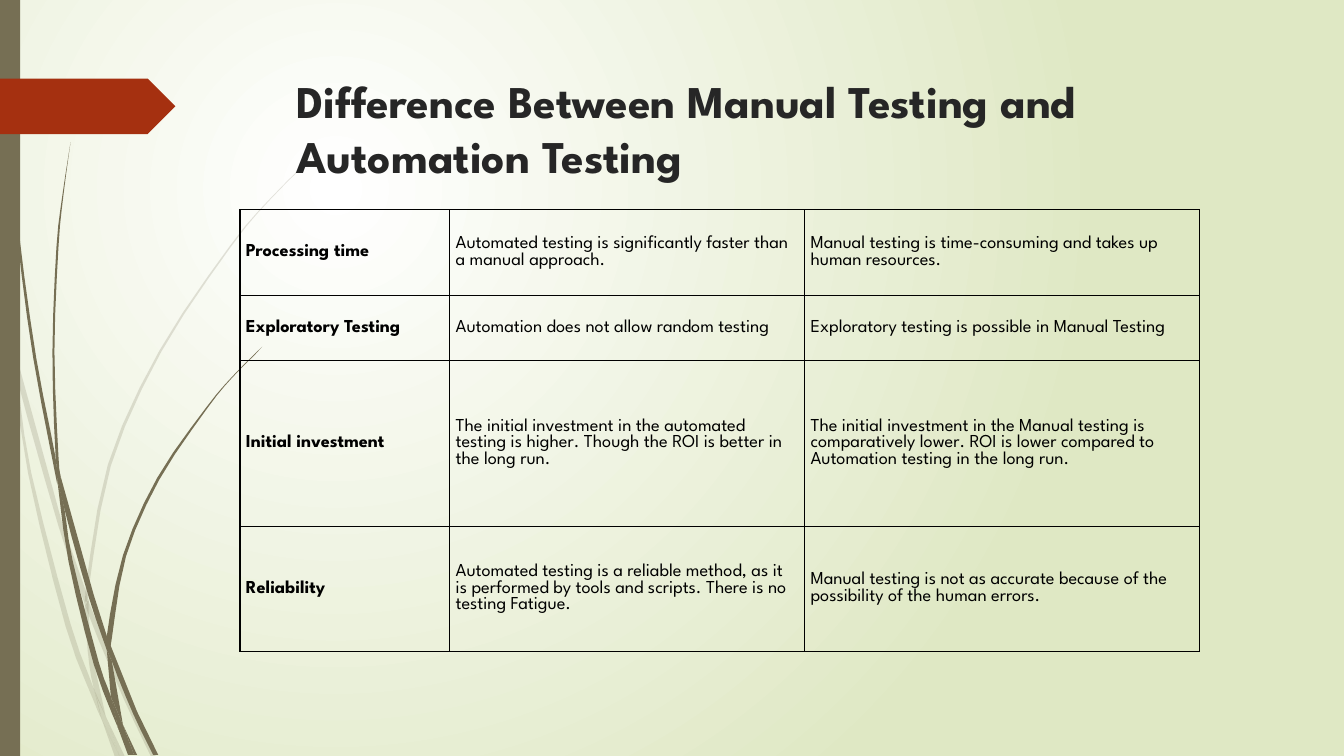
from dataclasses import dataclass

from lxml import etree
from pptx import Presentation, util as u
from pptx.dml.color import RGBColor
from pptx.enum import shapes, text
from pptx.oxml import ns

TITLE = "Difference Between Manual Testing and Automation Testing"
ROWS = [
    ("Processing time",
     "Automated testing is significantly faster than a manual approach.",
     "Manual testing is time-consuming and takes up human resources."),
    ("Exploratory Testing",
     "Automation does not allow random testing",
     "Exploratory testing is possible in Manual Testing"),
    ("Initial investment",
     "The initial investment in the automated testing is higher. "
     "Though the ROI is better in the long run.",
     "The initial investment in the Manual testing is comparatively lower. "
     "ROI is lower compared to Automation testing in the long run."),
    ("Reliability",
     "Automated testing is a reliable method, as it is performed by tools and scripts. "
     "There is no testing Fatigue.",
     "Manual testing is not as accurate because of the possibility of the human errors."),
]
COLUMN_WIDTHS = (2.08, 3.52, 3.92)
ROW_HEIGHTS = (0.85, 0.65, 1.64, 1.24)

PALE_STEMS = [
    ([(0, 2.99), (0.1, 3.44), (0.11, 3.5)], [(0, 2.82), (0.09, 3.22), (0.11, 3.5)]),
    ([(0.14, 3.45), (0.17, 3.76), (0.58, 5.22), (0.84, 5.99)], [(0.14, 3.45), (0.62, 5.2), (0.85, 5.86)]),
    ([(0.88, 5.96), (0.88, 6.1), (1.23, 6.94), (1.5, 7.51)], [(0.88, 5.96), (0.92, 6.07), (1.27, 6.92), (1.55, 7.51)]),
    ([(1.05, 7.11), (1.19, 7.51)], [(1.05, 7.11), (1.24, 7.51)]),
    ([(0.11, 3.5), (0.28, 4.7), (0.65, 6.21), (0.92, 6.93), (1.01, 7.14)],
     [(0.11, 3.5), (0.17, 3.76), (0.31, 4.69), (0.7, 6.19), (0.93, 6.83), (1.01, 7.14)]),
    ([(0.84, 5.99), (0.87, 6.46), (0.93, 6.83), (1.05, 7.11)], [(0.84, 5.99), (0.88, 6.1), (0.91, 6.46), (1.05, 7.11)]),
    ([(3.12, 1.53), (2.68, 1.97), (2.28, 2.44), (1.58, 3.48), (1.07, 4.61), (0.85, 5.84), (0.88, 5.96)],
     [(3.12, 1.54), (2.68, 1.98), (2.29, 2.45), (1.6, 3.49), (1.1, 4.62), (0.88, 5.84), (0.88, 5.96)]),
    ([(1.01, 7.14), (1.14, 7.51)], [(1.01, 7.14), (1.19, 7.51)]),
    ([(0.85, 5.86), (0.84, 5.99), (0.88, 6.1)], [(0.85, 5.86), (0.88, 5.96), (0.88, 6.1)]),
    ([(0.93, 6.83), (1.01, 7.14), (1.19, 7.51)], [(0.93, 6.83), (1.05, 7.11), (1.19, 7.51)]),
]
DARK_STEMS = [
    ([(0.03, 0), (0.07, 1.1), (0.17, 2.33), (0.33, 3.55), (0.57, 4.81)],
     [(0.04, 0), (0.08, 1.09), (0.19, 2.32), (0.36, 3.55), (0.55, 4.53), (0.57, 4.81)]),
    ([(0.6, 4.72), (0.64, 5.05), (0.88, 5.92), (1.06, 6.45)], [(0.6, 4.72), (0.93, 5.9), (1.06, 6.31)]),
    ([(1.1, 6.41), (1.11, 6.56), (1.32, 7.08), (1.52, 7.49)], [(1.1, 6.41), (1.36, 7.06), (1.57, 7.49)]),
    ([(0.57, 4.77), (0.68, 5.57), (0.93, 6.59), (1.17, 7.22)],
     [(0.57, 4.77), (0.64, 5.05), (0.72, 5.56), (0.98, 6.57), (1.1, 6.91), (1.17, 7.22)]),
    ([(0.7, 1.41), (0.62, 1.93), (0.56, 2.45), (0.52, 3.49), (0.55, 4.49), (0.6, 4.72)],
     [(0.7, 1.41), (0.63, 1.93), (0.58, 2.45), (0.54, 3.49), (0.58, 4.53), (0.6, 4.72)]),
    ([(1.22, 7.19), (1.33, 7.49)], [(1.22, 7.19), (1.36, 7.49)]),
    ([(0.55, 4.49), (0.57, 4.77), (0.64, 5.05)], [(0.55, 4.49), (0.6, 4.72), (0.64, 5.05)]),
    ([(2.6, 3.44), (2.31, 3.73), (2.04, 4.05), (1.56, 4.74), (1.22, 5.51), (1.06, 6.31), (1.1, 6.41)],
     [(2.61, 3.44), (2.31, 3.74), (2.05, 4.06), (1.58, 4.76), (1.25, 5.52), (1.11, 6.33), (1.1, 6.41)]),
    ([(1.17, 7.22), (1.27, 7.49)], [(1.17, 7.22), (1.31, 7.49)]),
    ([(1.06, 6.45), (1.1, 6.91), (1.22, 7.19)], [(1.06, 6.45), (1.11, 6.56), (1.22, 7.19)]),
    ([(1.06, 6.31), (1.06, 6.45), (1.11, 6.56)], [(1.06, 6.31), (1.1, 6.41), (1.11, 6.56)]),
    ([(1.1, 6.91), (1.17, 7.22), (1.3, 7.49)], [(1.1, 6.91), (1.22, 7.19), (1.33, 7.49)]),
]


@dataclass(frozen=True)
class Theme:
    font: str = "League Spartan"
    title_size: float = 32.4
    cell_size: float = 13
    title: str = "262626"
    ink: str = "000000"
    stem: str = "766F54"
    banner: str = "A53010"
    glow: str = "FFFFFF"
    edge: str = "DFE8C4"


THEME = Theme()


def color(code):
    return RGBColor.from_string(code)


def add_node(parent, tag, **attributes):
    return etree.SubElement(parent, ns.qn(tag), attributes)


def paint(shape, code, opacity=100):
    shape.shadow.inherit = False
    shape.fill.solid()
    shape.fill.fore_color.rgb = color(code)
    shape.line.fill.background()
    if opacity < 100:
        tint = shape._element.spPr.find(".//" + ns.qn("a:srgbClr"))
        add_node(tint, "a:alpha", val=str(opacity * 1000))


def format_text(frame, size, code, bold):
    for para in frame.paragraphs:
        para.alignment = text.PP_ALIGN.LEFT
        for span in para.runs:
            span.font.name, span.font.size, span.font.bold = THEME.font, u.Pt(size), bold
            span.font.color.rgb = color(code)


def smooth(knots):
    steps = 3 if len(knots) > 3 else 1
    ends = [knots[0], *knots, knots[-1]]
    curve = []
    for a, b, c, d in zip(ends, ends[1:], ends[2:], ends[3:]):
        for step in range(steps):
            t = step / steps
            curve.append(tuple(
                q + t * (r - p) / 2 + t ** 2 * (2 * p - 5 * q + 4 * r - s) / 2
                + t ** 3 * (3 * q - p - 3 * r + s) / 2
                for p, q, r, s in zip(a, b, c, d)))
    return curve + [knots[-1]]


def add_stem(page, left_edge, right_edge, opacity):
    outline = [(u.Inches(x), u.Inches(y))
               for x, y in smooth(left_edge) + smooth(right_edge)[:0:-1]]
    builder = page.shapes.build_freeform(*outline[0])
    builder.add_line_segments(outline[1:], close=True)
    paint(builder.convert_to_shape(), THEME.stem, opacity)


def add_background(page):
    fill = page.background.fill
    fill.gradient()
    for stop, code, position in zip(fill.gradient_stops, (THEME.glow, THEME.edge), (0, 1)):
        stop.color.rgb = color(code)
        stop.position = position
    gradient = page._element.find(".//" + ns.qn("a:gradFill"))
    gradient.remove(gradient.find(ns.qn("a:lin")))
    circle = add_node(gradient, "a:path", path="circle")
    add_node(circle, "a:fillToRect", l="50000", t="50000", r="100000", b="100000")


def add_decoration(page):
    for stems, opacity in ((PALE_STEMS, 20), (DARK_STEMS, 100)):
        for left_edge, right_edge in stems:
            add_stem(page, left_edge, right_edge, opacity)
    for kind, top, width, height, code in (
            (shapes.MSO_SHAPE.RECTANGLE, 0, 0.2, 7.5, THEME.stem),
            (shapes.MSO_SHAPE.PENTAGON, 0.78, 1.74, 0.55, THEME.banner)):
        paint(page.shapes.add_shape(kind, 0, *map(u.Inches, (top, width, height))), code)


def add_title(page):
    title = page.shapes.title
    title.left, title.top, title.width, title.height = map(u.Inches, (2.84, 0.68, 9.75, 1.4))
    frame = title.text_frame
    frame.text = TITLE
    frame.word_wrap = True
    frame.auto_size = text.MSO_AUTO_SIZE.NONE
    frame.vertical_anchor = text.MSO_ANCHOR.TOP
    frame.paragraphs[0].line_spacing = 1.0
    format_text(frame, THEME.title_size, THEME.title, True)
    page.shapes._spTree.append(title._element)


def add_borders(cell):
    properties = cell._tc.get_or_add_tcPr()
    for index, side in enumerate(("a:lnL", "a:lnR", "a:lnT", "a:lnB")):
        line = etree.Element(ns.qn(side), w=str(u.Pt(1)))
        add_node(add_node(line, "a:solidFill"), "a:srgbClr", val=THEME.ink)
        properties.insert(index, line)


def add_comparison(page):
    table = page.shapes.add_table(
        len(ROWS), len(COLUMN_WIDTHS), u.Inches(2.38), u.Inches(2.08),
        u.Inches(sum(COLUMN_WIDTHS)), u.Inches(sum(ROW_HEIGHTS))).table
    table.first_row = table.horz_banding = False
    for column, width in zip(table.columns, COLUMN_WIDTHS):
        column.width = u.Inches(width)
    for row, height, words in zip(table.rows, ROW_HEIGHTS, ROWS):
        row.height = u.Inches(height)
        for index, (cell, wording) in enumerate(zip(row.cells, words)):
            cell.text_frame.text = wording
            cell.vertical_anchor = text.MSO_ANCHOR.MIDDLE
            cell.margin_left, cell.margin_right = u.Inches(0.06), u.Inches(0.08)
            cell.margin_top = cell.margin_bottom = u.Inches(0.03)
            cell.fill.background()
            add_borders(cell)
            format_text(cell.text_frame, THEME.cell_size, THEME.ink, index == 0)


deck = Presentation()
deck.slide_width, deck.slide_height = u.Inches(13.33), u.Inches(7.5)
page = deck.slides.add_slide(deck.slide_layouts[5])
add_background(page)
add_decoration(page)
add_title(page)
add_comparison(page)
deck.save("out.pptx")
